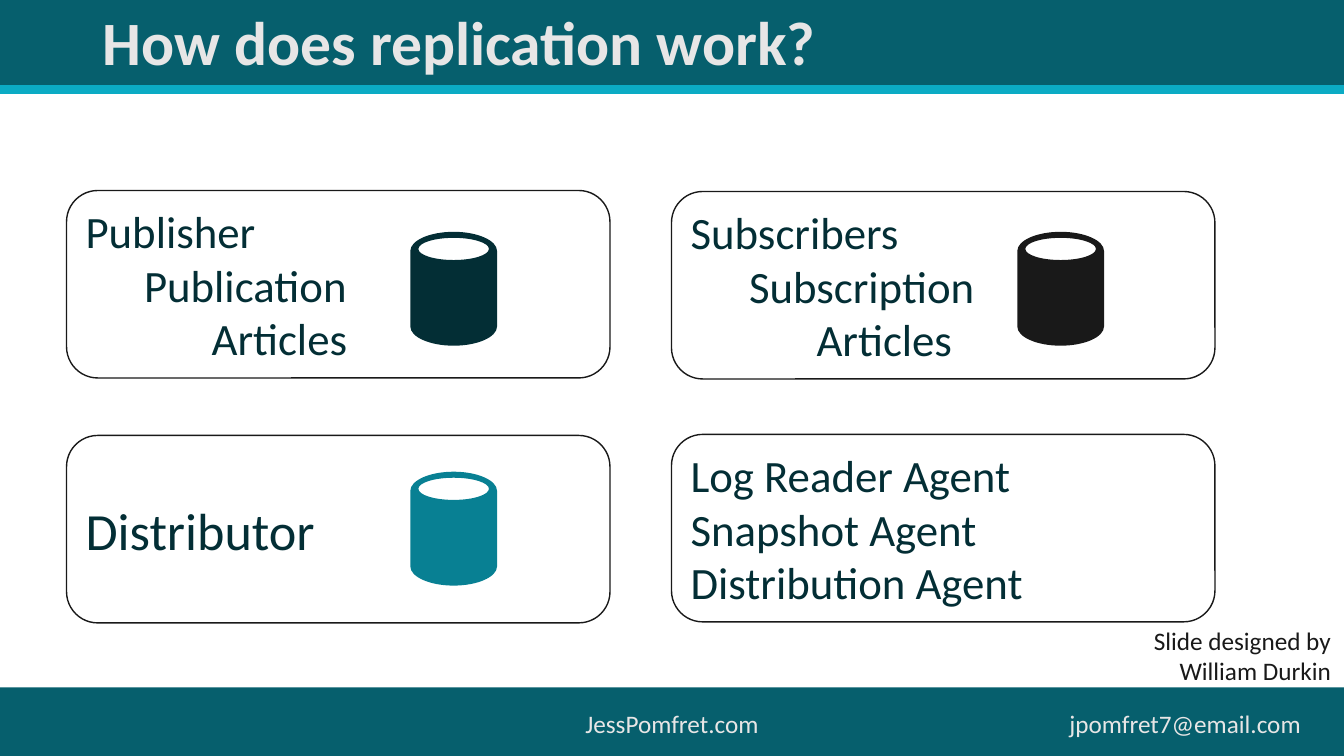
"""Build the slide that explains the parts of replication."""
from dataclasses import dataclass
from typing import Optional

from lxml.etree import SubElement
from pptx import Presentation
from pptx.dml.color import RGBColor
from pptx.enum.shapes import MSO_CONNECTOR, MSO_SHAPE
from pptx.enum.text import MSO_ANCHOR, PP_ALIGN
from pptx.oxml.ns import qn
from pptx.util import Inches, Pt

TEAL = RGBColor(0x06, 0x5F, 0x6D)
CYAN = RGBColor(0x0B, 0xAB, 0xC4)
LAKE = RGBColor(0x08, 0x80, 0x93)
DEEP = RGBColor(0x03, 0x2E, 0x35)
INK = RGBColor(0x19, 0x19, 0x19)
PALE = RGBColor(0xE7, 0xE6, 0xE6)
WHITE = RGBColor(0xFF, 0xFF, 0xFF)
FONT = "Calibri"
WIDE, HIGH = 13.33, 7.5
STEPS = (0, 0.58, 1.25)
BEND = 0.55
HALF = [(-1, 0), (-1, -BEND), (-BEND, -1), (0, -1), (BEND, -1), (1, -BEND), (1, 0)]


@dataclass
class Drum:
    left: float
    top: float
    color: RGBColor


@dataclass
class Panel:
    left: float
    top: float
    lines: list[str]
    size: float = 32
    nested: bool = False
    drum: Optional[Drum] = None


@dataclass
class Label:
    left: float
    top: float
    width: float
    height: float
    lines: list[str]
    align: PP_ALIGN
    color: RGBColor


PANELS = [
    Panel(0.66, 1.89, ["Publisher", "Publication", "Articles"], nested=True,
          drum=Drum(4.07, 2.3, DEEP)),
    Panel(6.66, 1.9, ["Subscribers", "Subscription", "Articles"], nested=True,
          drum=Drum(10.09, 2.3, INK)),
    Panel(0.66, 4.32, ["Distributor"], size=37.3, drum=Drum(4.07, 4.68, LAKE)),
    Panel(6.66, 4.31, ["Log Reader Agent", "Snapshot Agent", "Distribution Agent"]),
]
LABELS = [
    Label(5.65, 6.98, 2.03, 0.4, ["JessPomfret.com"], PP_ALIGN.CENTER, PALE),
    Label(9.62, 6.98, 3.38, 0.4, ["jpomfret7@email.com"], PP_ALIGN.RIGHT, PALE),
    Label(11.07, 6.15, 2.23, 0.71, ["Slide designed by", "William Durkin"], PP_ALIGN.RIGHT, INK),
]


def write(frame, lines: list[str], *, size: float, color: RGBColor, align: PP_ALIGN = PP_ALIGN.LEFT,
          anchor: MSO_ANCHOR = MSO_ANCHOR.TOP, bold: bool = False, nested: bool = False,
          space: float = 1) -> None:
    frame.word_wrap = True
    frame.vertical_anchor = anchor
    for rank, line in enumerate(lines):
        para = frame.add_paragraph() if rank else frame.paragraphs[0]
        if nested:
            para.level = rank
            para._p.get_or_add_pPr().set("marL", str(Inches(STEPS[rank])))
        para.alignment = align
        para.line_spacing = space
        run = para.add_run()
        run.text = line
        run.font.name, run.font.size, run.font.bold = FONT, Pt(size), bold
        run.font.color.rgb = color


def paint(shape, fill: RGBColor, line: Optional[RGBColor] = None) -> None:
    shape.shadow.inherit = False
    shape.fill.solid()
    shape.fill.fore_color.rgb = fill
    if line is None:
        shape.line.fill.background()
    else:
        shape.line.color.rgb = line
        shape.line.width = Pt(1)


def add_band(shapes, top: float, height: float) -> None:
    band = shapes.add_shape(MSO_SHAPE.RECTANGLE, 0, Inches(top), Inches(WIDE), Inches(height))
    paint(band, TEAL)


def add_rule(shapes, top: float) -> None:
    rule = shapes.add_connector(MSO_CONNECTOR.STRAIGHT, 0, Inches(top), Inches(WIDE), Inches(top))
    rule.line.color.rgb = CYAN
    rule.line.width = Pt(6)
    SubElement(rule._element.spPr, qn("a:effectLst"))


def arc(mid: float, top: float, wide: float, high: float, side: int = 1) -> list:
    return [(Inches(mid + side * wide * across), Inches(top + side * high * down))
            for across, down in HALF]


def bend(shape) -> None:
    lines = list(shape._element.iter(qn("a:lnTo")))
    for first, second, last in zip(lines[::3], lines[1::3], lines[2::3]):
        curve = first.makeelement(qn("a:cubicBezTo"))
        first.addprevious(curve)
        for line in (first, second, last):
            curve.append(line[0])
            line.getparent().remove(line)


def add_drum(shapes, drum: Drum) -> None:
    mid, top = drum.left + 0.43, drum.top
    lid = arc(mid, top + 0.19, 0.43, 0.19)
    base = arc(mid, top + 0.94, 0.43, 0.19, -1)
    rim = arc(mid, top + 0.17, 0.35, 0.11) + arc(mid, top + 0.17, 0.35, 0.11, -1)[1:]
    body = lid + [lid[-1], base[0]] + base + [base[-1], lid[0], lid[0]]
    form = shapes.build_freeform(*body[0], scale=1.0)
    form.add_line_segments(body[1:], close=True)
    form.move_to(*rim[0])
    form.add_line_segments(rim[1:], close=True)
    shape = form.convert_to_shape()
    bend(shape)
    paint(shape, drum.color)


def add_panel(shapes, panel: Panel) -> None:
    group = shapes.add_group_shape().shapes
    card = group.add_shape(MSO_SHAPE.ROUNDED_RECTANGLE, Inches(panel.left), Inches(panel.top),
                           Inches(5.39), Inches(1.86))
    paint(card, WHITE, INK)
    write(card.text_frame, panel.lines, size=panel.size, color=DEEP, nested=panel.nested,
          anchor=MSO_ANCHOR.MIDDLE)
    if panel.drum is not None:
        add_drum(group, panel.drum)


def add_label(shapes, label: Label) -> None:
    box = shapes.add_textbox(Inches(label.left), Inches(label.top), Inches(label.width),
                             Inches(label.height))
    write(box.text_frame, label.lines, size=18, color=label.color, align=label.align)


def add_title(shapes, text: str) -> None:
    title = shapes.title
    title.left, title.top = Inches(0.92), Inches(0)
    title.width, title.height = Inches(11.5), Inches(0.9)
    write(title.text_frame, [text], size=44, color=PALE, bold=True, space=0.9,
          anchor=MSO_ANCHOR.MIDDLE)
    shapes._spTree.append(title._element)


def main() -> None:
    deck = Presentation()
    deck.slide_width, deck.slide_height = Inches(WIDE), Inches(HIGH)
    shapes = deck.slides.add_slide(deck.slide_layouts[5]).shapes
    add_band(shapes, 0, 0.9)
    add_band(shapes, 6.82, 0.68)
    add_rule(shapes, 0.89)
    add_title(shapes, "How does replication work?")
    for panel in PANELS:
        add_panel(shapes, panel)
    for label in LABELS:
        add_label(shapes, label)
    deck.save("out.pptx")


if __name__ == "__main__":
    main()
